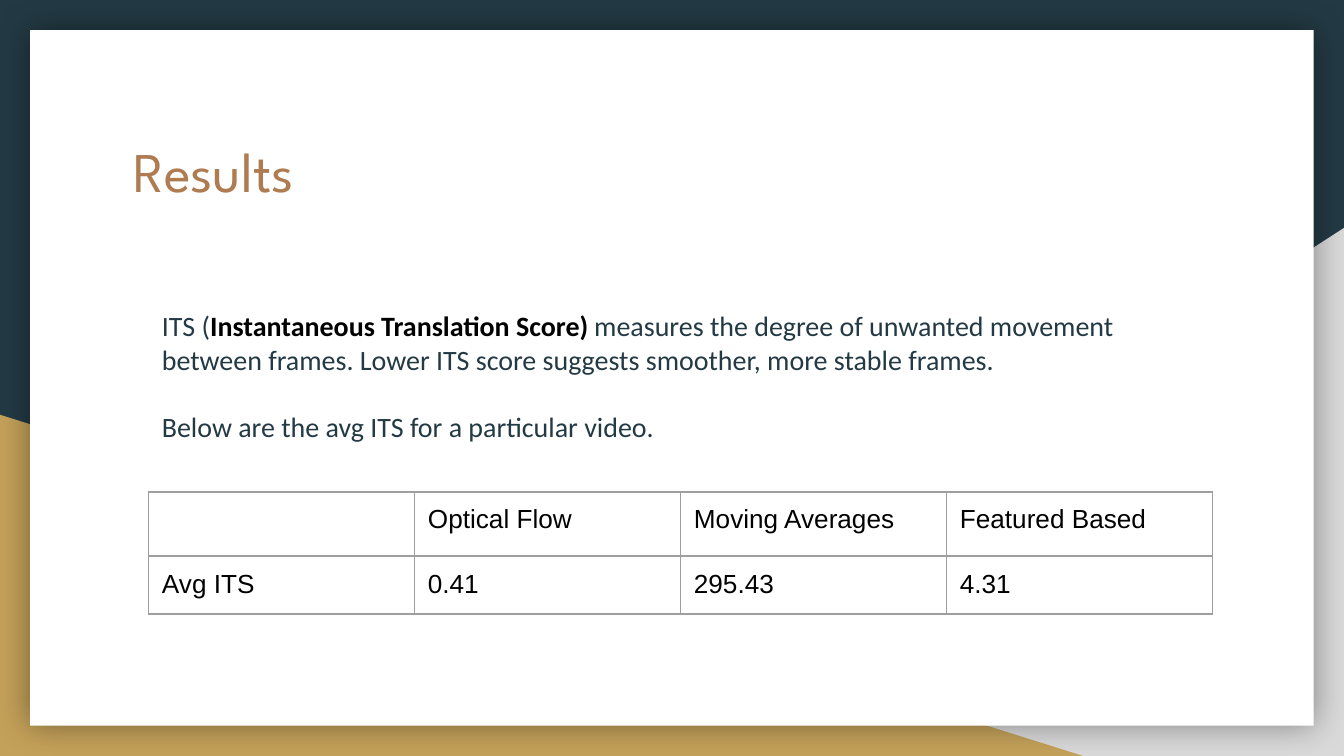
from lxml import etree
from pptx import Presentation
from pptx.dml.color import RGBColor
from pptx.enum.shapes import MSO_SHAPE
from pptx.enum.text import MSO_ANCHOR
from pptx.oxml import parse_xml
from pptx.oxml.ns import nsdecls, qn
from pptx.util import Cm, Pt

RECT = MSO_SHAPE.RECTANGLE
WEDGE = MSO_SHAPE.RIGHT_TRIANGLE
TOP = MSO_ANCHOR.TOP
NAVY, GOLD, GREY, WHITE = "233A44", "C4A15A", "D9D9D9", "FFFFFF"
RUST, BLACK, RULE = "AF7B51", "000000", "9E9E9E"
WIDE, HIGH = 25.4, 14.29
INSET = 0.25
ROWS = [
    ["", "Optical Flow", "Moving Averages", "Featured Based"],
    ["Avg ITS", "0.41", "295.43", "4.31"],
]


def color(code):
    """Turn a hex string into a colour."""
    return RGBColor.from_string(code)


def style(run, size, face, code, bold=False):
    """Format one run."""
    font = run.font
    font.size, font.name, font.bold = Pt(size), face, bold
    font.color.rgb = color(code)


def add_form(slide, kind, box, code):
    """Add a plain filled shape."""
    form = slide.shapes.add_shape(kind, *map(Cm, box))
    form.shadow.inherit = False
    form.fill.solid()
    form.fill.fore_color.rgb = color(code)
    form.line.fill.background()
    return form


def add_text(slide, box):
    """Add a wrapped, top-aligned text box and return its frame."""
    frame = slide.shapes.add_textbox(*map(Cm, box)).text_frame
    frame.word_wrap = True
    frame.vertical_anchor = TOP
    frame.margin_left = frame.margin_right = Cm(INSET)
    frame.margin_top = frame.margin_bottom = Cm(INSET)
    return frame


def add_back(slide, box):
    """Draw the backdrop: two corner wedges and a white card with a soft shadow."""
    left, top, width, height = box
    fill = slide.background.fill
    fill.solid()
    fill.fore_color.rgb = color(NAVY)
    right = left + width
    base = top + height
    grey = add_form(slide, WEDGE, (right - 15.44, base - 9.98, 15.44, 9.98), GREY)
    grey._element.spPr.find(qn("a:xfrm")).set("flipH", "1")
    add_form(slide, WEDGE, (left, base - 6.45, 20.47, 6.45), GOLD)
    edge = 0.57
    card = add_form(
        slide, RECT, (left + edge, top + edge, width - 2 * edge, height - 2 * edge), WHITE
    )
    glow = card._element.spPr.find(qn("a:effectLst"))
    glow.append(parse_xml(
        f'<a:outerShdw {nsdecls("a")} blurRad="{Pt(18)}" dist="0" dir="0" '
        f'algn="ctr" rotWithShape="0"><a:srgbClr val="{BLACK}">'
        '<a:alpha val="40000"/></a:srgbClr></a:outerShdw>'
    ))


def add_title(slide, box):
    """Write the heading."""
    frame = add_text(slide, box)
    frame.text = "Results"
    style(frame.paragraphs[0].runs[0], 30, "League Spartan", RUST)


def add_body(slide, box):
    """Write the explanation of the score."""
    frame = add_text(slide, box)
    lead = frame.paragraphs[0]
    parts = [
        ("ITS (", 15, NAVY, False),
        ("Instantaneous Translation Score)", 15, BLACK, True),
        (" ", 13, BLACK, False),
        ("measures the degree of unwanted movement between frames. "
         "Lower ITS score suggests smoother, more stable frames.", 15, NAVY, False),
    ]
    for text, size, code, bold in parts:
        run = lead.add_run()
        run.text = text
        style(run, size, "Calibri", code, bold)
    note = frame.add_paragraph()
    note.text = "Below are the avg ITS for a particular video."
    note.space_before = Pt(18)
    style(note.runs[0], 15, "Calibri", NAVY)


def add_rules(cell):
    """Draw thin lines on all four sides of a cell."""
    props = cell._tc.get_or_add_tcPr()
    for side in ("lnL", "lnR", "lnT", "lnB"):
        line = etree.SubElement(props, qn(f"a:{side}"), w=str(Pt(0.75)))
        fill = etree.SubElement(line, qn("a:solidFill"))
        etree.SubElement(fill, qn("a:srgbClr"), val=RULE)


def add_scores(slide, box):
    """Build the table of average scores."""
    table = slide.shapes.add_table(len(ROWS), len(ROWS[0]), *map(Cm, box)).table
    table.first_row = table.horz_banding = False
    for row, high in zip(table.rows, (1.21, 1.06)):
        row.height = Cm(high)
    for row, texts in zip(table.rows, ROWS):
        for cell, text in zip(row.cells, texts):
            add_rules(cell)
            cell.fill.background()
            cell.margin_left = cell.margin_right = Cm(INSET)
            cell.margin_top = cell.margin_bottom = Cm(INSET if text else 0)
            cell.text = text
            for run in cell.text_frame.paragraphs[0].runs:
                style(run, 14, "Arial", BLACK)


def main():
    """Build and save the slide."""
    deck = Presentation()
    deck.slide_width, deck.slide_height = Cm(WIDE), Cm(HIGH)
    slide = deck.slides.add_slide(deck.slide_layouts[6])
    add_back(slide, (0, 0, WIDE, HIGH))
    add_title(slide, (2.27, 2.34, 20.85, 2.64))
    add_scores(slide, (2.81, 9.3, 20.11, 2.27))
    add_body(slide, (2.81, 5.59, 20.11, 2.97))
    deck.save("out.pptx")


if __name__ == "__main__":
    main()
